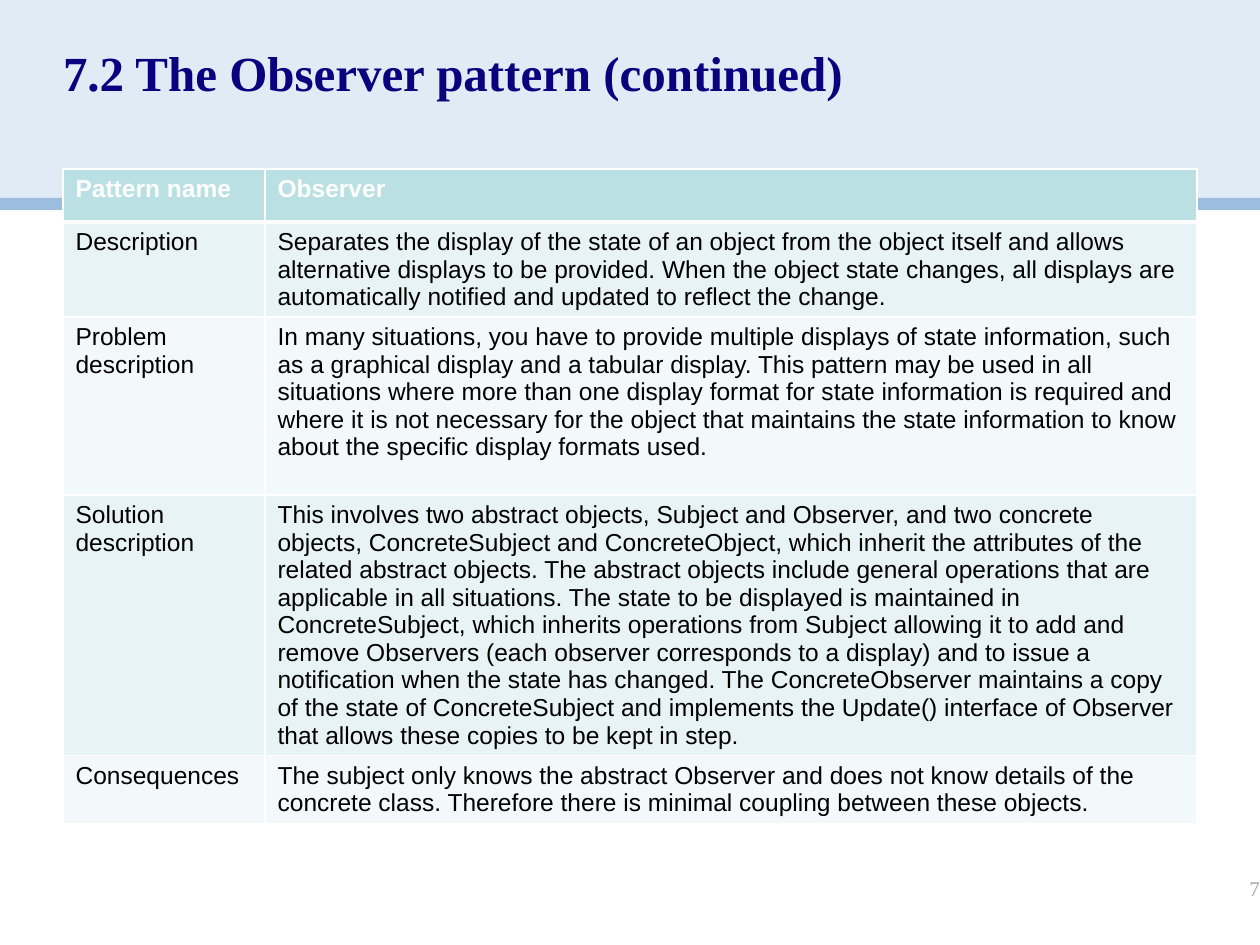
from dataclasses import dataclass
from lxml import etree
from pptx import Presentation
from pptx.dml.color import RGBColor
from pptx.enum import shapes, text
from pptx.oxml import ns
from pptx.util import Emu, Pt


@dataclass(frozen=True)
class Theme:
    sky: str = "E1EBF5"
    stripe: str = "9CBDDE"
    navy: str = "0A017F"
    gray: str = "A7A7A7"
    head: str = "BBE0E3"
    odd: str = "E7F3F4"
    even: str = "F3F9FA"
    white: str = "FFFFFF"
    black: str = "000000"
    serif: str = "Times New Roman"
    sans: str = "Arial"
    big: int = 28
    mid: int = 14
    small: int = 12


THEME = Theme()
ROWS = [
    ("Pattern name", "Observer"),
    ("Description", "Separates the display of the state of an object from the object itself and allows alternative displays to be provided. When the object state changes, all displays are automatically notified and updated to reflect the change."),
    ("Problem description", "In many situations, you have to provide multiple displays of state information, such as a graphical display and a tabular display. This pattern may be used in all situations where more than one display format for state information is required and where it is not necessary for the object that maintains the state information to know about the specific display formats used."),
    ("Solution description", "This involves two abstract objects, Subject and Observer, and two concrete objects, ConcreteSubject and ConcreteObject, which inherit the attributes of the related abstract objects. The abstract objects include general operations that are applicable in all situations. The state to be displayed is maintained in ConcreteSubject, which inherits operations from Subject allowing it to add and remove Observers (each observer corresponds to a display) and to issue a notification when the state has changed. The ConcreteObserver maintains a copy of the state of ConcreteSubject and implements the Update() interface of Observer that allows these copies to be kept in step."),
    ("Consequences", "The subject only knows the abstract Observer and does not know details of the concrete class. Therefore there is minimal coupling between these objects."),
]
WIDTHS = [202, 932]
HEIGHTS = [53, 95, 178, 260, 68]


def px(n):
    return Emu(round(n * 914400 / 126))


def rgb(code):
    return RGBColor.from_string(code)


def write(para, words, font, size, color, bold=False):
    run = para.add_run()
    run.text = words
    run.font.name = font
    run.font.size = Pt(size)
    run.font.bold = bold
    run.font.color.rgb = rgb(color)


def clear(frame):
    frame.margin_left = frame.margin_top = 0
    frame.margin_right = frame.margin_bottom = 0
    frame.vertical_anchor = text.MSO_ANCHOR.TOP
    frame.auto_size = text.MSO_AUTO_SIZE.NONE
    frame.word_wrap = True
    return frame.paragraphs[0]


def bands(slide, left, top, width, height):
    thin = 12
    for y, tall, color in ((top, height - thin, THEME.sky),
                           (top + height - thin, thin, THEME.stripe)):
        band = slide.shapes.add_shape(
            shapes.MSO_SHAPE.RECTANGLE, *map(px, (left, y, width, tall)))
        band.shadow.inherit = False
        band.fill.solid()
        band.fill.fore_color.rgb = rgb(color)
        band.line.fill.background()


def border(cell, sides):
    props = cell._tc.get_or_add_tcPr()
    for side, width in sides.items():
        line = etree.SubElement(props, ns.qn(f"a:ln{side}"), w=str(Pt(width)))
        fill = etree.SubElement(line, ns.qn("a:solidFill"))
        etree.SubElement(fill, ns.qn("a:srgbClr"), val=THEME.white)


def grid(slide, left, top, width, height):
    table = slide.shapes.add_table(
        len(ROWS), len(WIDTHS), *map(px, (left, top, width, height))).table
    table.horz_banding = False
    for col, wide in zip(table.columns, WIDTHS):
        col.width = px(wide)
    for r, (row, tall) in enumerate(zip(ROWS, HEIGHTS)):
        table.rows[r].height = px(tall)
        head = r == 0
        fill = THEME.head if head else THEME.odd if r % 2 else THEME.even
        for c, words in enumerate(row):
            cell = table.cell(r, c)
            border(cell, {"L": 1, "R": 1, "T": 3 if r == 1 else 1,
                          "B": 3 if head else 1})
            cell.fill.solid()
            cell.fill.fore_color.rgb = rgb(fill)
            write(cell.text_frame.paragraphs[0], words, THEME.sans, THEME.mid,
                  THEME.white if head else THEME.black, head)


def title(slide, left, top, width, height):
    box = slide.shapes.title
    box.left, box.top, box.width, box.height = map(
        px, (left, top, width, height))
    box.element.getparent().append(box.element)
    para = clear(box.text_frame)
    para.alignment = text.PP_ALIGN.LEFT
    para.line_spacing = 0.9
    write(para, "7.2 The Observer pattern (continued)",
          THEME.serif, THEME.big, THEME.navy, True)


def number(slide, left, top, width, height):
    box = slide.shapes.add_textbox(*map(px, (left, top, width, height)))
    para = clear(box.text_frame)
    para.alignment = text.PP_ALIGN.RIGHT
    write(para, "7", THEME.serif, THEME.small, THEME.gray)


def main():
    deck = Presentation()
    deck.slide_width, deck.slide_height = px(1260), px(945)
    slide = deck.slides.add_slide(deck.slide_layouts[5])
    bands(slide, 0, 0, 1260, 210)
    grid(slide, 63, 169, sum(WIDTHS), sum(HEIGHTS))
    title(slide, 63, 49, 1134, 111)
    number(slide, 966, 876, 294, 50)
    deck.save("out.pptx")


if __name__ == "__main__":
    main()
